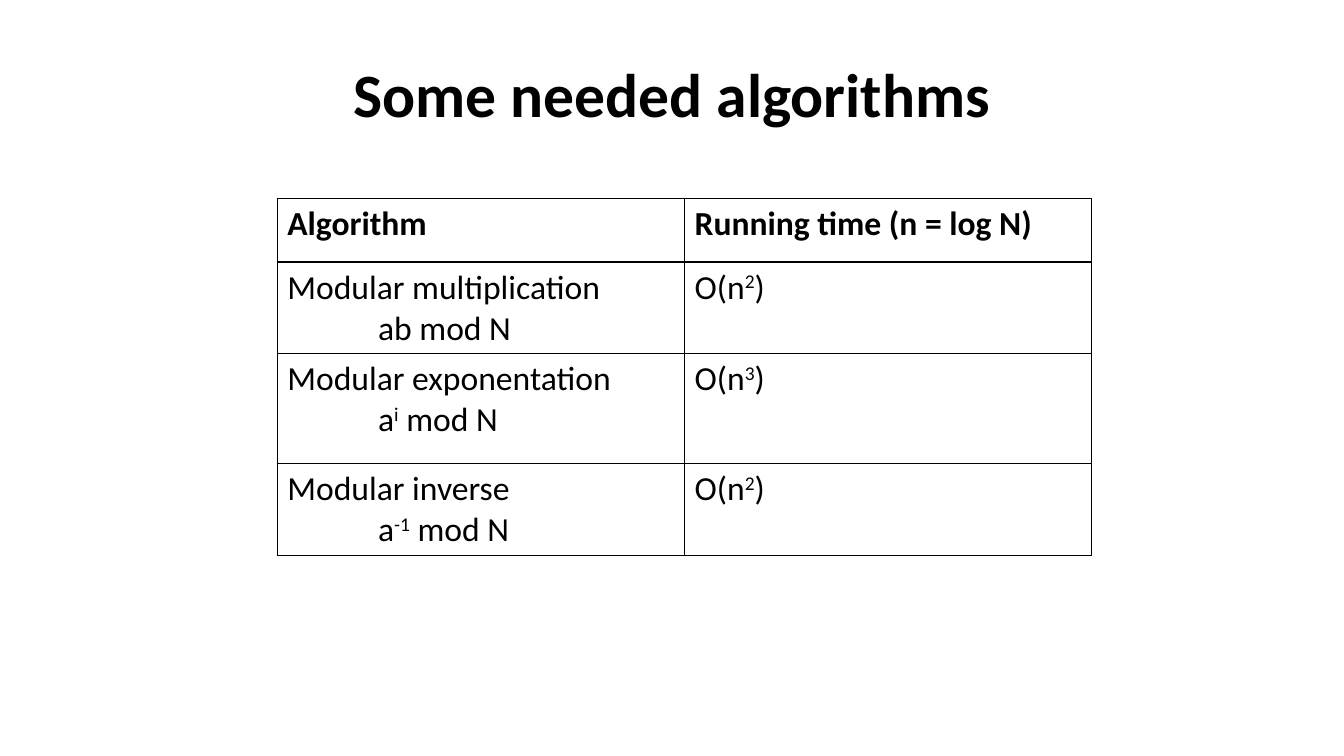
from dataclasses import dataclass

from lxml import etree
from pptx import Presentation
from pptx.dml.color import RGBColor
from pptx.enum.text import MSO_ANCHOR, PP_ALIGN
from pptx.oxml.ns import qn
from pptx.util import Inches, Pt

MIDDLE = MSO_ANCHOR.MIDDLE
CENTER = PP_ALIGN.CENTER


@dataclass(frozen=True)
class Theme:
    font: str = "Calibri"
    ink: str = "000000"
    paper: str = "FFFFFF"
    title_size: int = 44
    body_size: int = 24
    border: int = 1
    superscript: str = "30000"
    formula_indent: float = 0.9


THEME = Theme()

HEADINGS = ("Algorithm", "Running time (n = log N)")
ALGORITHMS = (
    ("Modular multiplication", ("ab mod N",), "2"),
    ("Modular exponentation", ("a", "i", " mod N"), "3"),
    ("Modular inverse", ("a", "-1", " mod N"), "2"),
)
ROW_HEIGHTS = (0.63, 0.91, 1.09, 0.91)


def add_runs(paragraph, pieces, size, bold=False):
    for position, piece in enumerate(pieces):
        run = paragraph.add_run()
        run.text = piece
        run.font.name = THEME.font
        run.font.size = Pt(size)
        run.font.bold = bold
        run.font.color.rgb = RGBColor.from_string(THEME.ink)
        if position % 2:
            run._r.get_or_add_rPr().set("baseline", THEME.superscript)


def add_title(slide, left, top, width, height):
    heading = slide.shapes.add_textbox(
        Inches(left), Inches(top), Inches(width), Inches(height)
    ).text_frame
    heading.word_wrap = True
    heading.vertical_anchor = MIDDLE
    heading.paragraphs[0].alignment = CENTER
    add_runs(heading.paragraphs[0], ("Some needed algorithms",), THEME.title_size, True)


def style_cell(cell):
    cell.fill.solid()
    cell.fill.fore_color.rgb = RGBColor.from_string(THEME.paper)
    properties = cell._tc.get_or_add_tcPr()
    for position, side in enumerate(("a:lnL", "a:lnR", "a:lnT", "a:lnB")):
        edge = etree.Element(qn(side), w=str(Pt(THEME.border)))
        ink = etree.SubElement(edge, qn("a:solidFill"))
        etree.SubElement(ink, qn("a:srgbClr"), val=THEME.ink)
        properties.insert(position, edge)


def add_algorithm_table(slide, left, top, width, height):
    algorithms = slide.shapes.add_table(
        len(ROW_HEIGHTS), len(HEADINGS),
        Inches(left), Inches(top), Inches(width), Inches(height),
    ).table
    algorithms.horz_banding = False
    for row, row_height in zip(algorithms.rows, ROW_HEIGHTS):
        row.height = Inches(row_height)
    for cell in algorithms.iter_cells():
        style_cell(cell)

    for column, heading in enumerate(HEADINGS):
        paragraph = algorithms.cell(0, column).text_frame.paragraphs[0]
        add_runs(paragraph, (heading,), THEME.body_size, True)

    for row, (name, formula, power) in enumerate(ALGORITHMS, start=1):
        description = algorithms.cell(row, 0).text_frame
        add_runs(description.paragraphs[0], (name,), THEME.body_size)
        formula_line = description.add_paragraph()
        formula_line._p.get_or_add_pPr().set("marL", str(Inches(THEME.formula_indent)))
        add_runs(formula_line, formula, THEME.body_size)
        running_time = algorithms.cell(row, 1).text_frame.paragraphs[0]
        add_runs(running_time, ("O(n", power, ")"), THEME.body_size)


def main():
    presentation = Presentation()
    presentation.slide_width = Inches(13.33)
    presentation.slide_height = Inches(7.5)
    slide = presentation.slides.add_slide(presentation.slide_layouts[6])
    add_title(slide, 0.67, 0.3, 12, 1.25)
    add_algorithm_table(slide, 2.75, 1.97, 8.08, sum(ROW_HEIGHTS))
    presentation.save("out.pptx")


if __name__ == "__main__":
    main()
